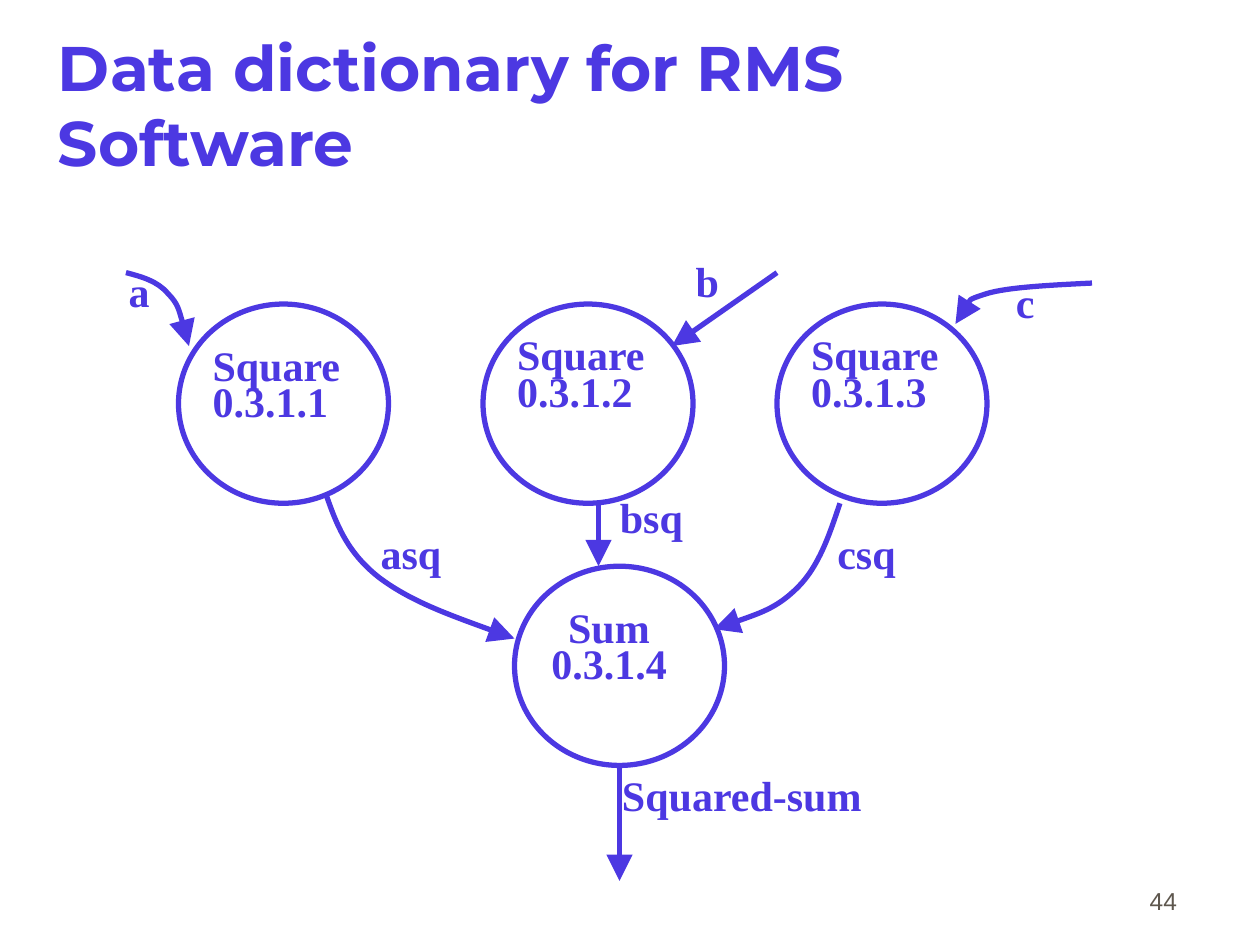
from dataclasses import dataclass

from lxml.etree import SubElement
from pptx import Presentation
from pptx.dml.color import RGBColor
from pptx.enum.shapes import MSO_CONNECTOR, MSO_SHAPE
from pptx.enum.text import MSO_ANCHOR, MSO_AUTO_SIZE, PP_ALIGN
from pptx.oxml.ns import qn
from pptx.util import Emu, Inches, Pt


@dataclass(frozen=True)
class Theme:
    accent: RGBColor = RGBColor(0x4C, 0x38, 0xE2)
    muted: RGBColor = RGBColor(0x5E, 0x57, 0x4E)
    title_font: str = "Montserrat"
    diagram_font: str = "Times New Roman"
    number_font: str = "Arial"
    title_size: int = 36
    diagram_size: int = 24
    number_size: int = 14
    stroke: int = 3


@dataclass(frozen=True)
class Process:
    """A bubble at a grid cell, with its text placed separately inside it."""
    name: str
    number: str
    col: float
    row: float
    text_col: float
    text_row: float
    align: PP_ALIGN = PP_ALIGN.LEFT


@dataclass(frozen=True)
class Label:
    text: str
    col: float
    row: float
    cols: float = 10


THEME = Theme()
WIDTH, HEIGHT = Inches(10), Inches(7.5)
COL, ROW = WIDTH / 120, HEIGHT / 90.12
BUBBLE = (20, 19)
PROCESS_TEXT = (16, 10.8)
LABEL_ROWS = 6

PROCESSES = [
    Process("Square", "0.3.1.1", 17, 29, 20, 33),
    Process("Square", "0.3.1.2", 46, 29, 49, 32),
    Process("Square", "0.3.1.3", 74, 29, 77, 32),
    Process("Sum", "0.3.1.4", 49, 54, 50, 58, PP_ALIGN.CENTER),
]
LABELS = [
    Label("a", 12, 26),
    Label("b", 66, 25),
    Label("c", 96.5, 27),
    Label("asq", 36, 51),
    Label("bsq", 58.8, 47.5),
    Label("csq", 79.5, 51),
    Label("Squared-sum", 59, 74, 36),
]
# Each flow is a start point followed by either one end point (straight)
# or groups of three Bezier points (curved).
FLOWS = [
    [(12, 26), (13.5, 26.4), (15, 26.8), (16, 28), (17, 29), (17.5, 31), (18, 33)],
    [(74, 26), (64, 33)],
    [(104, 27), (100, 27.2), (96, 27.4), (94, 28), (91.8, 28.7), (91.4, 29.8), (91, 30.9)],
    [(31, 47), (32, 49.9), (33, 52.6), (36, 55), (39, 57.3), (44, 59.1), (49, 60.9)],
    [(57, 48), (57, 54)],
    [(59, 73), (59, 84)],
    [(80, 48), (79, 51), (78, 54), (76, 56), (74, 58), (71, 59), (68, 60)],
]


def grid(col: float, row: float) -> tuple[Emu, Emu]:
    return Emu(round(col * COL)), Emu(round(row * ROW))


def set_all(target, values: dict) -> None:
    for name, value in values.items():
        setattr(target, name, value)


def write(sp, text: str, font: dict, color: RGBColor, paragraph: dict,
          anchor=MSO_ANCHOR.TOP, inset: float = 0.02) -> None:
    tf = sp.text_frame
    set_all(tf, {
        "word_wrap": True, "auto_size": MSO_AUTO_SIZE.NONE, "vertical_anchor": anchor,
        "margin_left": Inches(inset), "margin_right": Inches(inset),
        "margin_top": Inches(0.05), "margin_bottom": Inches(0.05),
    })
    p = tf.paragraphs[0]
    p.text = text
    set_all(p, paragraph)
    for r in p.runs:
        set_all(r.font, font)
        r.font.color.rgb = color


def write_diagram(s, text: str, at: tuple, size: tuple, align=PP_ALIGN.LEFT) -> None:
    write(s.shapes.add_textbox(*grid(*at), *grid(*size)), text,
          {"name": THEME.diagram_font, "size": Pt(THEME.diagram_size), "bold": True},
          THEME.accent,
          {"alignment": align, "line_spacing": 0.72, "space_before": Pt(13.6)})


def outline(sp) -> None:
    sp.line.color.rgb = THEME.accent
    sp.line.width = Pt(THEME.stroke)


def add_bubble(s, process: Process) -> None:
    sp = s.shapes.add_shape(MSO_SHAPE.OVAL, *grid(process.col, process.row), *grid(*BUBBLE))
    sp.shadow.inherit = False
    sp.fill.background()
    outline(sp)


def add_curve(s, points: list):
    """Draw an open outline and turn each three segments into one Bezier curve."""
    start, *rest = [grid(*point) for point in points]
    builder = s.shapes.build_freeform(*start)
    builder.add_line_segments(rest, close=False)
    sp = builder.convert_to_shape()
    sp.shadow.inherit = False
    sp.fill.background()
    path = next(sp._element.iter(qn("a:path")))
    segments = path.findall(qn("a:lnTo"))
    for i in range(0, len(segments), 3):
        curve = SubElement(path, qn("a:cubicBezTo"))
        for segment in segments[i:i + 3]:
            curve.append(segment[0])
            path.remove(segment)
    return sp


def add_straight(s, points: list):
    start, end = points
    line = s.shapes.add_connector(MSO_CONNECTOR.STRAIGHT, *grid(*start), *grid(*end))
    SubElement(line._element.spPr, qn("a:effectLst"))
    return line


def add_flow(s, points: list) -> None:
    sp = add_straight(s, points) if len(points) == 2 else add_curve(s, points)
    outline(sp)
    SubElement(sp.line._get_or_add_ln(), qn("a:tailEnd"), type="triangle", w="lg", len="lg")


def add_title(s, text: str) -> None:
    sp = s.shapes.title
    set_all(sp, {
        "left": round(WIDTH * 0.044), "top": round(HEIGHT * 0.024),
        "width": round(WIDTH * 0.85), "height": round(HEIGHT * 0.172),
    })
    write(sp, text,
          {"name": THEME.title_font, "size": Pt(THEME.title_size), "bold": True},
          THEME.accent, {"alignment": PP_ALIGN.LEFT, "space_before": Pt(8.1)},
          MSO_ANCHOR.MIDDLE)


def add_page_number(s, text: str) -> None:
    sp = s.shapes.add_textbox(round(WIDTH * 0.736), round(HEIGHT * 0.908),
                              round(WIDTH * 0.208), round(HEIGHT * 0.067))
    write(sp, text, {"name": THEME.number_font, "size": Pt(THEME.number_size)},
          THEME.muted, {"alignment": PP_ALIGN.RIGHT, "space_before": Pt(8.8)},
          MSO_ANCHOR.BOTTOM, inset=0.1)


def main() -> None:
    prs = Presentation()
    prs.slide_width, prs.slide_height = WIDTH, HEIGHT
    s = prs.slides.add_slide(prs.slide_layouts.get_by_name("Title Only"))
    add_page_number(s, "44")
    add_title(s, "Data dictionary for RMS Software")
    for process in PROCESSES:
        add_bubble(s, process)
    for points in FLOWS:
        add_flow(s, points)
    for process in PROCESSES:
        write_diagram(s, f"{process.name}\v{process.number}",
                      (process.text_col, process.text_row), PROCESS_TEXT, process.align)
    for label in LABELS:
        write_diagram(s, label.text, (label.col, label.row), (label.cols, LABEL_ROWS))
    prs.save("out.pptx")


if __name__ == "__main__":
    main()
